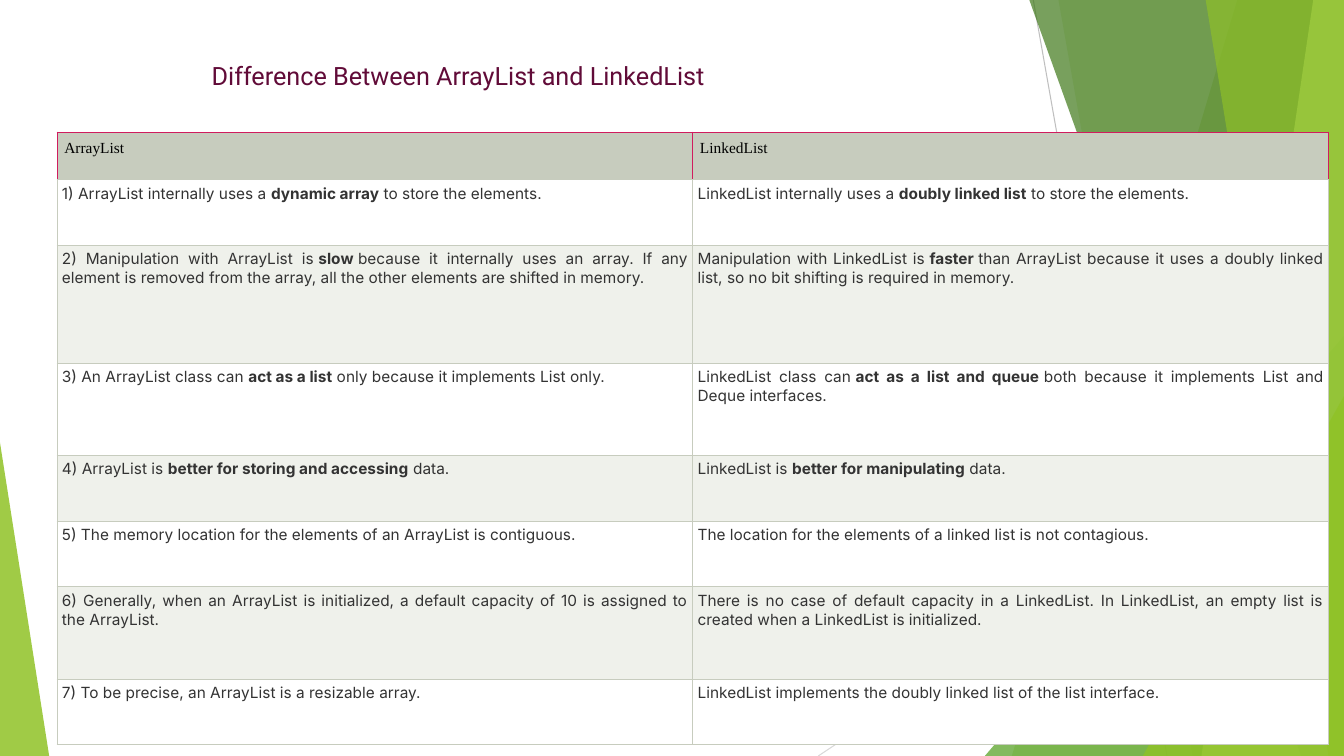
import pptx
import pptx.util
import pptx.oxml
import pptx.oxml.ns
import pptx.dml.color
import pptx.enum.shapes
import pptx.enum.text

Cm = pptx.util.Cm
WIDE, HIGH = 33.87, 19.05

# Content: ** marks bold words
TITLE = "Difference Between ArrayList and LinkedList"
HEADS = ("ArrayList", "LinkedList")
ROWS = [
    ("1) ArrayList internally uses a **dynamic array** to store the elements.",
     "LinkedList internally uses a **doubly linked list** to store the elements."),
    ("2) Manipulation with ArrayList is **slow** because it internally uses an array. "
     "If any element is removed from the array, all the other elements are shifted in memory.",
     "Manipulation with LinkedList is **faster** than ArrayList because it uses "
     "a doubly linked list, so no bit shifting is required in memory."),
    ("3) An ArrayList class can **act as a list** only because it implements List only.",
     "LinkedList class can **act as a list and queue** both because it implements "
     "List and Deque interfaces."),
    ("4) ArrayList is **better for storing and accessing** data.",
     "LinkedList is **better for manipulating** data."),
    ("5) The memory location for the elements of an ArrayList is contiguous.",
     "The location for the elements of a linked list is not contagious."),
    ("6) Generally, when an ArrayList is initialized, a default capacity of 10 "
     "is assigned to the ArrayList.",
     "There is no case of default capacity in a LinkedList. In LinkedList, "
     "an empty list is created when a LinkedList is initialized."),
    ("7) To be precise, an ArrayList is a resizable array.",
     "LinkedList implements the doubly linked list of the list interface."),
]
TALL = [1.19, 1.66, 2.97, 2.32, 1.66, 1.66, 2.32, 1.66]

COLORS = {
    "title": "610B38", "head": "000000", "body": "333333",
    "sage": "C7CCBE", "band": "EFF1EB", "white": "FFFFFF", "rose": "D01C5E",
    "lime": "90C226", "leaf": "54A021", "moss": "3F7819", "pale": "C0E474",
    "gray": "BFBFBF", "mist": "D9D9D9",
}

# Backdrop: lines, then facets from back to front
LINES = [("gray", 26.04, 0, 29.41, HIGH), ("mist", WIDE, 10.24, 20.62, HIGH)]
# Two numbers: left edge at top and bottom; five: box and tip of a triangle
FACETS = [
    ("lime", 30, (31.19, 25.5)),
    ("lime", 20, (26.67, 30.05)),
    ("leaf", 72, (24.82, 8.46, 9.05, 10.59, 1)),
    ("moss", 70, (25.93, 32.79)),
    ("pale", 70, (33.1, 30.28)),
    ("lime", 65, (30.38, 33.48)),
    ("lime", 80, (28.8, 9.98, 5.07, 9.07, 1)),
    ("lime", 85, (0, 11.15, 1.24, 7.9, 0)),
]


def color(name):
    return pptx.dml.color.RGBColor.from_string(COLORS[name])


def write(frame, text, font="Inter", size=11, ink="body", align="JUSTIFY"):
    hard = chr(160)  # bold words keep hard spaces around them
    text = text.replace(" **", hard + "**").replace("** ", "**" + hard)
    para = frame.paragraphs[0]
    para.alignment = getattr(pptx.enum.text.PP_ALIGN, align)
    for i, part in enumerate(text.split("**")):
        run = para.add_run()
        run.text = part
        run.font.name, run.font.size = font, pptx.util.Pt(size)
        run.font.bold = i % 2 == 1
        run.font.color.rgb = color(ink)


def facet(shapes, name, alpha, nums):
    if len(nums) == 2:
        top, low = nums
        pen = shapes.build_freeform(Cm(top), Cm(-0.03))
        pen.add_line_segments([(Cm(WIDE), Cm(-0.03)), (Cm(WIDE), Cm(HIGH)),
                               (Cm(low), Cm(HIGH))], close=True)
        shape = pen.convert_to_shape()
    else:
        kind = pptx.enum.shapes.MSO_SHAPE.ISOSCELES_TRIANGLE
        shape = shapes.add_shape(kind, *map(Cm, nums[:4]))
        shape.adjustments[0] = nums[4]
    shape.shadow.inherit = False
    shape.line.fill.background()
    shape.fill.solid()
    shape.fill.fore_color.rgb = color(name)
    tint = shape.fill._xPr.find(".//" + pptx.oxml.ns.qn("a:srgbClr"))
    pptx.oxml.ns.qn("a:alpha")
    tint.append(pptx.oxml.parse_xml(
        f'<a:alpha {pptx.oxml.ns.nsdecls("a")} val="{alpha * 1000}"/>'))


def border(cell, side, name):
    cell._tc.get_or_add_tcPr().append(pptx.oxml.parse_xml(
        f'<a:ln{side} {pptx.oxml.ns.nsdecls("a")} w="9525"><a:solidFill>'
        f'<a:srgbClr val="{COLORS[name]}"/></a:solidFill></a:ln{side}>'))


def main():
    deck = pptx.Presentation()
    deck.slide_width, deck.slide_height = Cm(WIDE), Cm(HIGH)
    slide = deck.slides.add_slide(deck.slide_layouts[5])
    shapes = slide.shapes

    # Backdrop
    for name, *ends in LINES:
        kind = pptx.enum.shapes.MSO_CONNECTOR.STRAIGHT
        line = shapes.add_connector(kind, *map(Cm, ends))
        line.line.width = pptx.util.Pt(0.75)
        line.line.color.rgb = color(name)
        line._element.spPr.append(pptx.oxml.parse_xml(
            f'<a:effectLst {pptx.oxml.ns.nsdecls("a")}/>'))
    for name, alpha, nums in FACETS:
        facet(shapes, name, alpha, nums)

    # Title
    title = shapes.title
    title.left, title.top, title.width, title.height = map(Cm, (5.08, 1.4, 16.94, 1.02))
    frame = title.text_frame
    frame.word_wrap = True
    frame.auto_size = pptx.enum.text.MSO_AUTO_SIZE.NONE
    frame.vertical_anchor = pptx.enum.text.MSO_ANCHOR.TOP
    write(frame, TITLE, font="Roboto", size=18, ink="title")

    # Table
    grid = shapes.add_table(len(TALL), 2, Cm(1.44), Cm(3.33), Cm(32.04), Cm(sum(TALL))).table
    grid.first_row = grid.horz_banding = False
    for r, (texts, tall) in enumerate(zip([HEADS] + ROWS, TALL)):
        grid.rows[r].height = Cm(tall)
        head = r == 0
        for c, text in enumerate(texts):
            cell = grid.cell(r, c)
            pad = Cm(0.18 if head else 0.12)
            cell.margin_left = cell.margin_right = pad
            cell.margin_top = cell.margin_bottom = pad
            for side in "LRTB":
                # The top edge of the header closes in rose, its foot in sage
                rose = head and side != "B" or r == 1 and side == "none"
                border(cell, side, "rose" if rose else "sage")
            cell.fill.solid()
            fill = "sage" if head else "white" if r % 2 else "band"
            cell.fill.fore_color.rgb = color(fill)
            if head:
                write(cell.text_frame, text, font="Times New Roman", ink="head", align="LEFT")
            else:
                write(cell.text_frame, text)

    deck.save("out.pptx")


if __name__ == "__main__":
    main()
